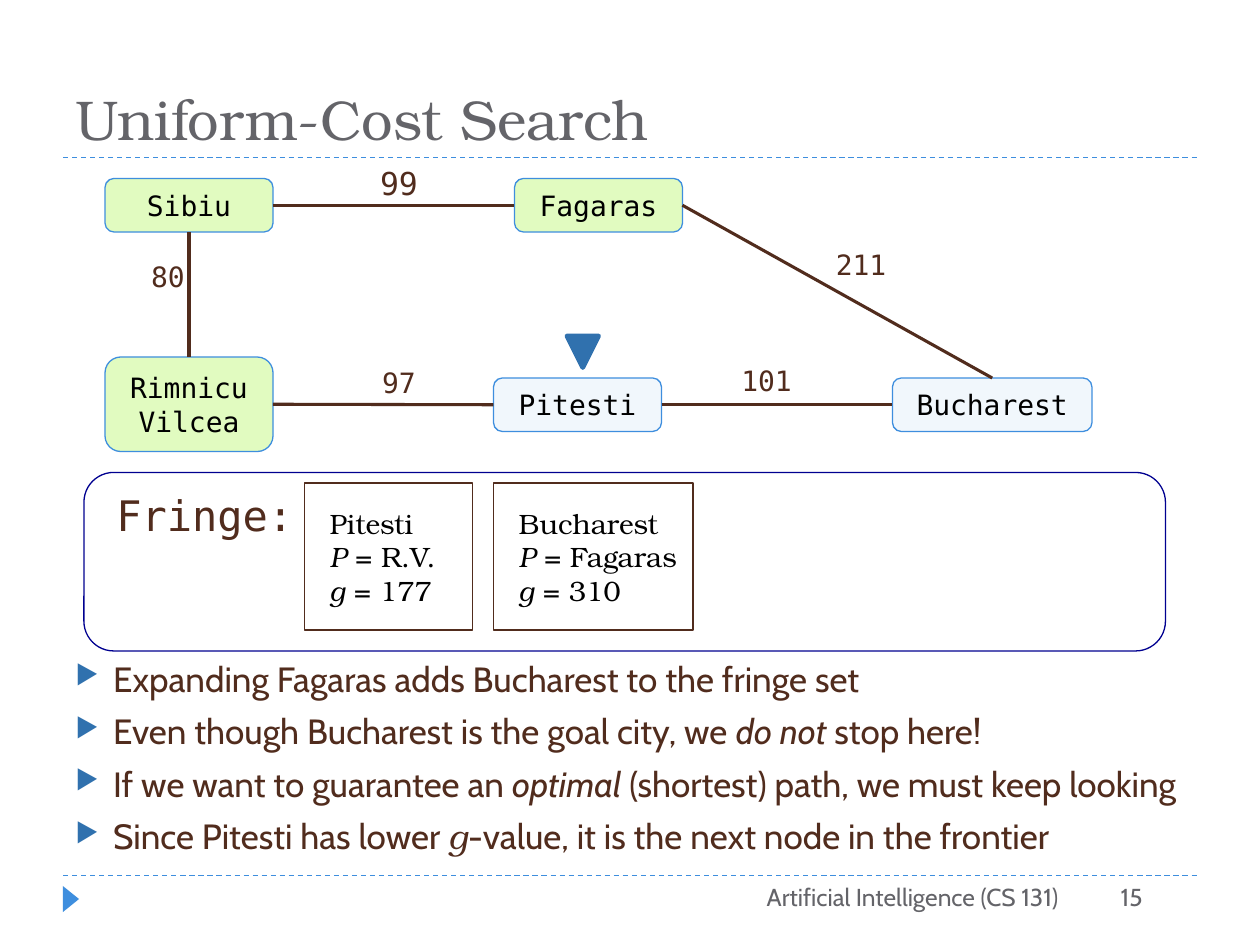
from lxml.etree import SubElement
from pptx import Presentation
from pptx.dml.color import RGBColor
from pptx.enum.dml import MSO_LINE
from pptx.enum.shapes import MSO_CONNECTOR, MSO_SHAPE
from pptx.enum.text import MSO_ANCHOR, PP_ALIGN
from pptx.oxml.ns import qn
from pptx.util import Inches, Pt

# The grid has 120 columns and 90 rows of a twelfth of an inch.
UNIT = Inches(1) / 12

WHITE = RGBColor(0xFF, 0xFF, 0xFF)
BLACK = RGBColor(0x00, 0x00, 0x00)
BROWN = RGBColor(0x51, 0x2C, 0x1D)
GREY = RGBColor(0x64, 0x64, 0x69)
SKY = RGBColor(0x3E, 0x8E, 0xDE)
BLUE = RGBColor(0x30, 0x71, 0xAE)
NAVY = RGBColor(0x00, 0x00, 0x90)
LIME = RGBColor(0xE1, 0xFB, 0xC0)
PALE = RGBColor(0xD8, 0xE8, 0xF8)

SANS, MONO, SERIF = "Cabin", "DejaVu Sans Mono", "TeX Gyre Bonum"
LEFT, MID, RIGHT = PP_ALIGN.LEFT, PP_ALIGN.CENTER, PP_ALIGN.RIGHT

# name: column, row, width, height, fill, opacity
NODES = {
    "Sibiu": (10, 17, 16, 5.1, LIME, 100),
    "Rimnicu Vilcea": (10, 34, 16, 9, LIME, 100),
    "Fagaras": (49, 17, 16, 5.1, LIME, 100),
    "Pitesti": (47, 36, 16, 5.1, PALE, 34),
    "Bucharest": (85, 36, 19, 5.1, PALE, 34),
}
# Connection sites of a box
TOP, WEST, BASE, EAST = range(4)
EDGES = [
    ("Sibiu", BASE, "Rimnicu Vilcea", TOP),
    ("Sibiu", EAST, "Fagaras", WEST),
    ("Rimnicu Vilcea", EAST, "Pitesti", WEST),
    ("Pitesti", EAST, "Bucharest", WEST),
    ("Fagaras", EAST, "Bucharest", TOP),
]
# cost, column, row, text size
COSTS = [
    ("80", 11, 24.1, 16),
    ("99", 33, 15, 18),
    ("97", 33, 34.2, 16),
    ("101", 68, 34, 16),
    ("211", 77, 23, 16),
]
# column, width, lines
CARDS = [
    (29, 16, ["Pitesti", "*P* = R.V.", "*g* = 177"]),
    (47, 19, ["Bucharest", "*P* = Fagaras", "*g* = 310"]),
]
POINTS = [
    "Expanding Fagaras adds Bucharest to the fringe set",
    "Even though Bucharest is the goal city, we *do not* stop here!",
    "If we want to guarantee an *optimal* (shortest) path, we must keep looking",
    "Since Pitesti has lower *g*-value, it is the next node in the frontier",
]


def grid(*cells):
    return [round(cell * UNIT) for cell in cells]


def write(shape, lines, size=16, font=MONO, color=BROWN, align=MID,
          anchor=MSO_ANCHOR.TOP):
    """Fill a shape with paragraphs; *stars* mark italics, and a single
    italic letter is a variable set in the serif font."""
    frame = shape.text_frame
    frame.word_wrap = True
    frame.vertical_anchor = anchor
    for num, line in enumerate(lines):
        para = frame.add_paragraph() if num else frame.paragraphs[0]
        para.alignment = align
        for turn, part in enumerate(line.split("*")):
            if not part:
                continue
            run = para.add_run()
            run.text = part
            face = run.font
            face.italic = turn % 2 == 1
            face.name = SERIF if face.italic and len(part) == 1 else font
            face.size = Pt(size)
            face.color.rgb = color
    return frame


def label(slide, at, lines, **style):
    return write(slide.shapes.add_textbox(*grid(*at)), lines, **style)


def shape(slide, kind, at, fill=None, line=None, width=0.75, alpha=100):
    item = slide.shapes.add_shape(kind, *grid(*at))
    item.shadow.inherit = False
    if fill is None:
        item.fill.background()
    else:
        item.fill.solid()
        item.fill.fore_color.rgb = fill
    if alpha < 100:
        tint = item.fill._xPr.find(qn("a:solidFill"))[0]
        SubElement(tint, qn("a:alpha"), val=str(alpha * 1000))
    if line is None:
        item.line.fill.background()
    else:
        item.line.color.rgb = line
        item.line.width = Pt(width)
    return item


def link(slide, color, width, ends=(0, 0, 0, 0)):
    wire = slide.shapes.add_connector(MSO_CONNECTOR.STRAIGHT, *grid(*ends))
    wire.line.color.rgb = color
    wire.line.width = Pt(width)
    SubElement(wire._element.spPr, qn("a:effectLst"))
    return wire


def bullet(para):
    para.space_before = Pt(6)
    props = para._p.get_or_add_pPr()
    indent = Inches(0.3)
    props.set("marL", str(indent))
    props.set("indent", str(-indent))
    tint = SubElement(props, qn("a:buClr"))
    SubElement(tint, qn("a:srgbClr"), val=str(BLUE))
    SubElement(props, qn("a:buSzPct"), val="76000")
    SubElement(props, qn("a:buChar"), char="▶")


def frame(slide):
    """Rules, title and footer."""
    for row in (83.4, 15):
        rule = link(slide, SKY, 0.75, (6, row, 114, row))
        rule.line.dash_style = MSO_LINE.DASH
    mark = shape(slide, MSO_SHAPE.ISOSCELES_TRIANGLE, (5.5, 84.85, 2.5, 1.55), SKY)
    mark.rotation = 90
    label(slide, (6, 2, 108, 13), ["Uniform-Cost Search"], size=32, font=SERIF,
          color=GREY, align=LEFT, anchor=MSO_ANCHOR.BOTTOM)
    for note, col, wide in (("Artificial Intelligence (CS 131)", 46, 56),
                            ("15", 97, 13)):
        label(slide, (col, 83.4, wide, 4.8), [note], size=14, font=SANS,
              color=GREY, align=RIGHT)


def graph(slide):
    nodes = {}
    for name, (*at, fill, alpha) in NODES.items():
        node = shape(slide, MSO_SHAPE.ROUNDED_RECTANGLE, at, fill, SKY, alpha=alpha)
        write(node, [name], color=BLACK, anchor=MSO_ANCHOR.MIDDLE)
        nodes[name] = node
    for start, leave, end, enter in EDGES:
        wire = link(slide, BROWN, 1.75)
        wire.begin_connect(nodes[start], leave)
        wire.end_connect(nodes[end], enter)
    for cost, col, row, size in COSTS:
        label(slide, (col, row, 10, 4.5), [cost], size=size)
    mark = shape(slide, MSO_SHAPE.ISOSCELES_TRIANGLE, (54, 32, 3, 3), BLUE, BLUE, 2.75)
    mark.rotation = 180


def fringe(slide):
    label(slide, (9, 46, 21, 6), ["Fringe:"], size=24)
    shape(slide, MSO_SHAPE.ROUNDED_RECTANGLE, (8, 45, 103, 17), line=NAVY)
    for col, wide, lines in CARDS:
        card = shape(slide, MSO_SHAPE.RECTANGLE, (col, 46, wide, 14), WHITE, BROWN)
        text = write(card, lines, font=SERIF, color=BLACK, align=LEFT,
                     anchor=MSO_ANCHOR.MIDDLE)
        text.margin_left = Inches(0.2)
        text.margin_top = text.margin_right = text.margin_bottom = 0


def main():
    deck = Presentation()
    deck.slide_width, deck.slide_height = grid(120, 90)
    slide = deck.slides.add_slide(deck.slide_layouts[6])
    frame(slide)
    body = label(slide, (6, 62, 108, 21), POINTS, size=20, font=SANS, align=LEFT)
    for para in body.paragraphs:
        bullet(para)
    graph(slide)
    fringe(slide)
    deck.save("out.pptx")


if __name__ == "__main__":
    main()
